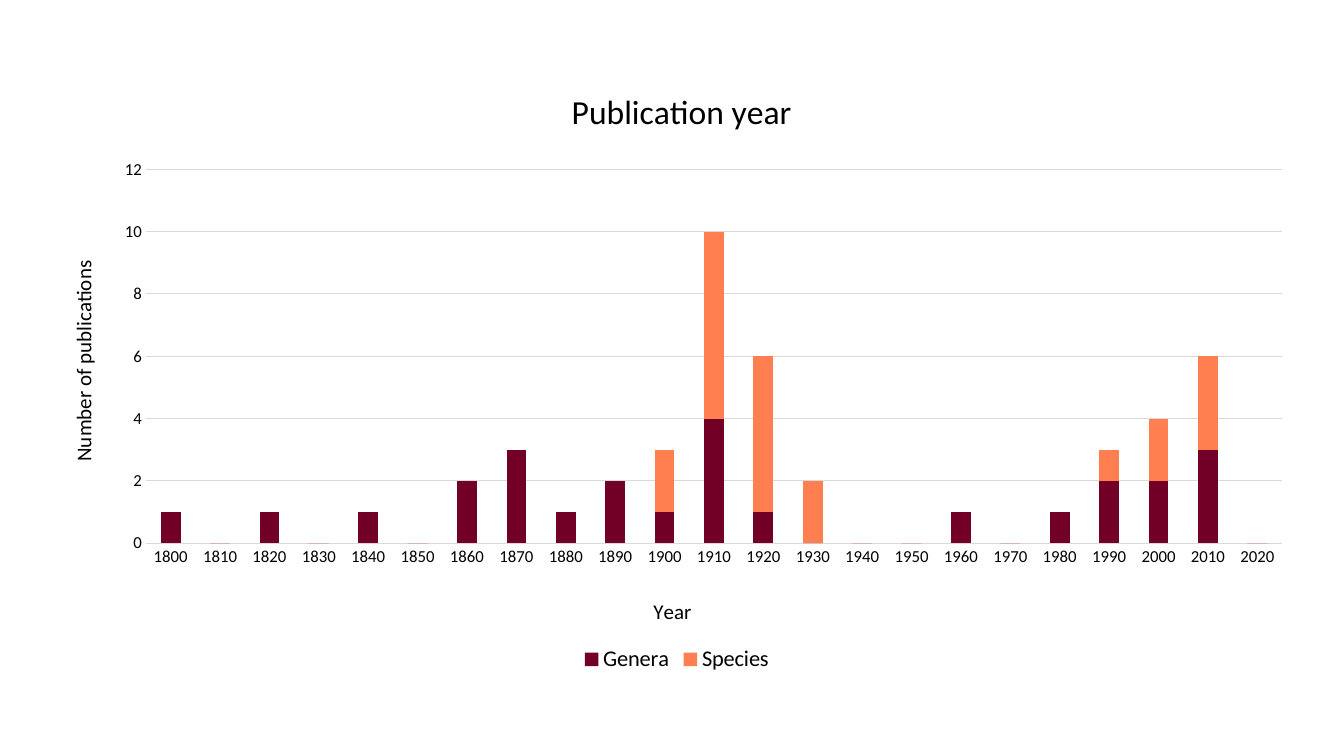
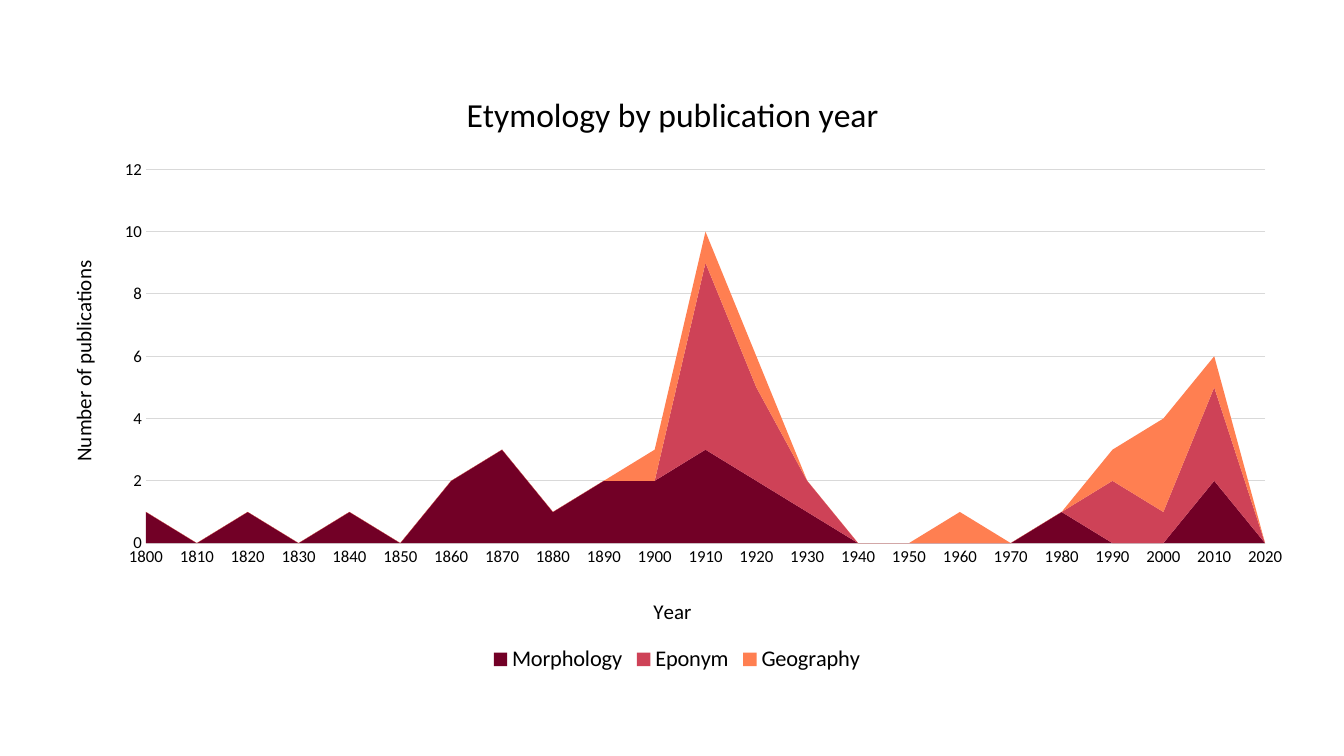
from pptx import Presentation
from pptx.chart.data import CategoryChartData
from pptx.dml.color import RGBColor
from pptx.enum.chart import XL_CHART_TYPE as ChartType
from pptx.enum.chart import XL_LEGEND_POSITION as LegendPosition
from pptx.enum.chart import XL_TICK_MARK as TickMark
from pptx.oxml import parse_xml
from pptx.oxml.ns import nsdecls
from pptx.util import Pt

FONT = "Calibri"
BLACK, GRID = "000000", "D9D9D9"
WINE, ROSE, ORANGE = "720026", "CE4257", "FF7F51"
LEFT, TOP, WIDTH, HEIGHT = 33, 57, 901, 427
DECADES = [str(year) for year in range(1800, 2021, 10)]

GENERA = [1, 0, 1, 0, 1, 0, 2, 3, 1, 2, 1, 4, 1, 0, 0, 0, 1, 0, 1, 2, 2, 3, 0]
SPECIES = [0] * 10 + [2, 6, 5, 2, 0, 0, 0, 0, 0, 1, 2, 3, 0]
MORPHOLOGY = [1, 0, 1, 0, 1, 0, 2, 3, 1, 2, 2, 3, 2, 1, 0, 0, 0, 0, 1, 0, 0, 2, 0]
EPONYM = [0] * 11 + [6, 3, 1, 0, 0, 0, 0, 0, 2, 1, 3, 0]
GEOGRAPHY = [0] * 10 + [1, 1, 1, 0, 0, 0, 1, 0, 0, 1, 3, 1, 0]


def rgb(color):
    return RGBColor.from_string(color)


def style_font(font, size):
    font.name = FONT
    font.size = Pt(size)
    font.bold = False
    font.color.rgb = rgb(BLACK)


def style_line(line):
    line.color.rgb = rgb(GRID)
    line.width = Pt(0.75)


def place(element, index, x, y, size=None):
    """Give a chart part a manual layout, in points from the chart's corner."""
    values = {"x": x / WIDTH, "y": y / HEIGHT}
    modes = '<c:xMode val="edge"/><c:yMode val="edge"/>'
    if size:
        values.update(w=size[0] / WIDTH, h=size[1] / HEIGHT)
        modes = '<c:layoutTarget val="inner"/>' + modes
    parts = "".join(f'<c:{k} val="{v:.4f}"/>' for k, v in values.items())
    for old in element.xpath("./c:layout"):
        element.remove(old)
    element.insert(index, parse_xml(
        f'<c:layout {nsdecls("c")}><c:manualLayout>{modes}{parts}'
        "</c:manualLayout></c:layout>"))


def set_title(title, text, size, x, y):
    p = title.text_frame.paragraphs[0]
    r = p.add_run()
    r.text = text
    style_font(r.font, size)
    place(title.element, 1, x, y)


def style_axis(axis, title, x, y):
    axis.major_tick_mark = axis.minor_tick_mark = TickMark.NONE
    style_font(axis.tick_labels.font, 12)
    set_title(axis.axis_title, title, 15, x, y)


def add_year_chart(prs, kind, title, title_at, plot_width, series):
    """Add a slide with one stacked chart; series holds (name, values, color)."""
    data = CategoryChartData()
    data.categories = DECADES
    for name, values, _ in series:
        data.add_series(name, values)
    slide = prs.slides.add_slide(prs.slide_layouts[6])
    chart = slide.shapes.add_chart(
        kind, Pt(LEFT), Pt(TOP), Pt(WIDTH), Pt(HEIGHT), data).chart
    style_font(chart.font, 10)
    set_title(chart.chart_title, title, 24, *title_at)
    place(chart.element.xpath(".//c:plotArea")[0], 0, 71.3, 64, (plot_width, 267))

    years, counts = chart.category_axis, chart.value_axis
    style_axis(years, "Year", 431, 366.5)
    years.has_major_gridlines = False
    style_line(years.format.line)
    style_axis(counts, "Number of publications", 13.5, 126.5)
    counts.axis_title.element.xpath(".//a:bodyPr")[0].set("rot", "-5400000")
    counts.minimum_scale, counts.maximum_scale, counts.major_unit = 0, 12, 2
    counts.has_major_gridlines = True
    style_line(counts.major_gridlines.format.line)
    counts.format.line.fill.background()

    chart.has_legend = True
    chart.legend.position = LegendPosition.BOTTOM
    chart.legend.include_in_layout = False
    style_font(chart.legend.font, 16)

    plot = chart.plots[0]
    plot.vary_by_categories = False
    for drawn, (_, _, color) in zip(plot.series, series):
        drawn.format.fill.solid()
        drawn.format.fill.fore_color.rgb = rgb(color)
    return plot


def main():
    prs = Presentation()
    prs.slide_width, prs.slide_height = Pt(960), Pt(540)
    columns = add_year_chart(
        prs, ChartType.COLUMN_STACKED, "Publication year", (371, 2), 811.5,
        [("Genera", GENERA, WINE), ("Species", SPECIES, ORANGE)])
    columns.gap_width, columns.overlap = 150, 100
    add_year_chart(
        prs, ChartType.AREA_STACKED, "Etymology by publication year",
        (296, 4.5), 799.5,
        [("Morphology", MORPHOLOGY, WINE), ("Eponym", EPONYM, ROSE),
         ("Geography", GEOGRAPHY, ORANGE)])
    prs.save("out.pptx")


if __name__ == "__main__":
    main()
